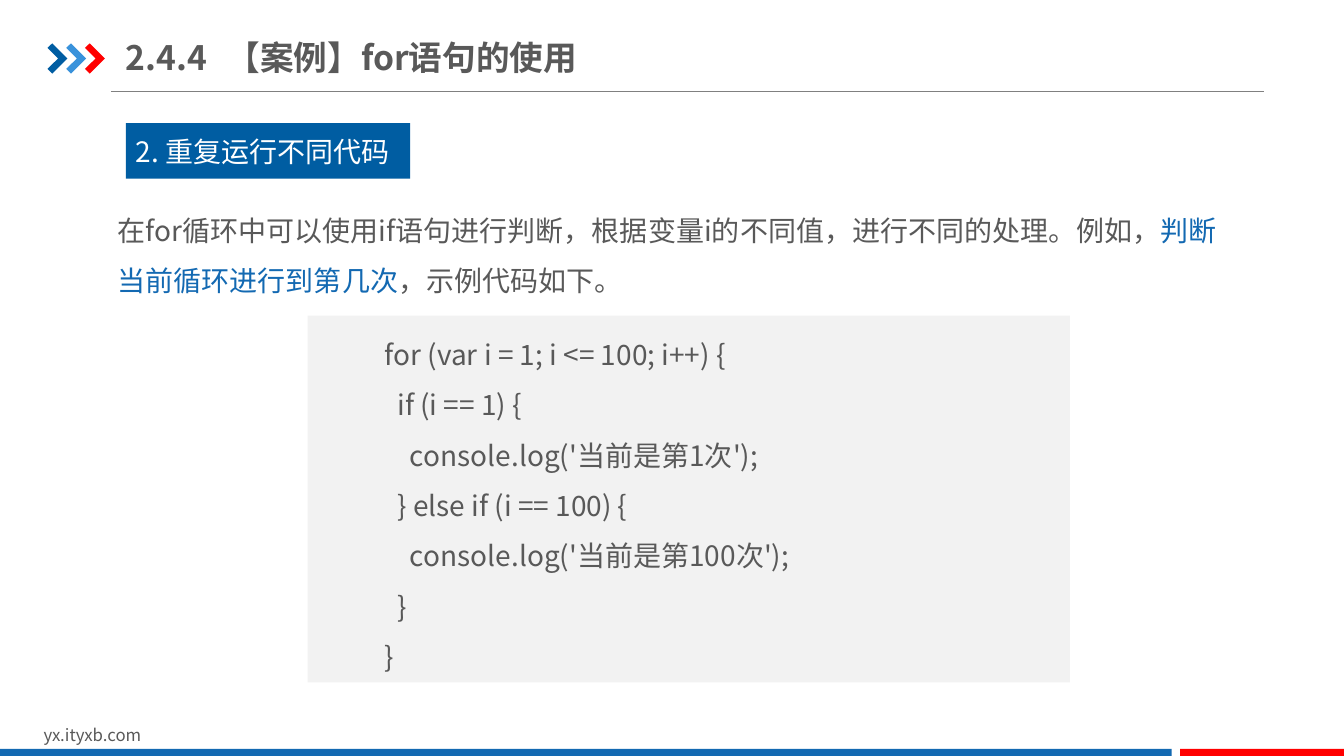
from dataclasses import dataclass

from lxml import etree
from pptx import Presentation
from pptx.dml.color import RGBColor
from pptx.enum.shapes import MSO_CONNECTOR, MSO_SHAPE
from pptx.enum.text import MSO_ANCHOR, MSO_AUTO_SIZE, PP_ALIGN
from pptx.oxml.ns import qn
from pptx.util import Pt

STRAIGHT = MSO_CONNECTOR.STRAIGHT
RECTANGLE = MSO_SHAPE.RECTANGLE
TOP, MIDDLE = MSO_ANCHOR.TOP, MSO_ANCHOR.MIDDLE
LEFT = PP_ALIGN.LEFT
NO_AUTOFIT = MSO_AUTO_SIZE.NONE


@dataclass(frozen=True)
class Theme:
    font: str = "Noto Sans CJK SC"
    grey: str = "595959"
    rule: str = "808080"
    panel: str = "F2F2F2"
    white: str = "FFFFFF"
    navy: str = "005DA2"
    sky: str = "3992DB"
    blue: str = "1369B2"
    red: str = "FF0000"
    title_size: float = 24
    body_size: float = 20
    footer_size: float = 12


THEME = Theme()


def write(shape, paragraphs, size=THEME.body_size, color=THEME.grey, bold=False,
          spacing=1.0, anchor=TOP, indent=0, margins=(7.2, 3.6)):
    """Fill a shape with paragraphs, each a list of (text, colour or None) runs."""
    frame = shape.text_frame
    frame.word_wrap = True
    frame.auto_size = NO_AUTOFIT
    frame.vertical_anchor = anchor
    frame.margin_left = frame.margin_right = Pt(margins[0])
    frame.margin_top = frame.margin_bottom = Pt(margins[1])
    for number, runs in enumerate(paragraphs):
        paragraph = frame.add_paragraph() if number else frame.paragraphs[0]
        paragraph.alignment = LEFT
        paragraph.line_spacing = spacing
        if indent:
            properties = paragraph._p.get_or_add_pPr()
            properties.set("marL", str(Pt(indent)))
            properties.set("indent", "0")
        for text, run_color in runs:
            run = paragraph.add_run()
            run.text = text
            run.font.size = Pt(size)
            run.font.bold = bold
            run.font.color.rgb = RGBColor.from_string(run_color or color)
            run.font.name = THEME.font
            east_asian = etree.SubElement(run._r.get_or_add_rPr(), qn("a:ea"))
            east_asian.set("typeface", THEME.font)


def paint(shape, color):
    shape.shadow.inherit = False
    shape.fill.solid()
    shape.fill.fore_color.rgb = RGBColor.from_string(color)
    shape.line.fill.background()


deck = Presentation()
deck.slide_width, deck.slide_height = Pt(960), Pt(540)
slide = deck.slides.add_slide(deck.slide_layouts[5])
shapes = slide.shapes

# Header
title = shapes.title
title.left, title.top, title.width, title.height = Pt(90), Pt(21), Pt(350), Pt(39.6)
write(title, [[("2.4.4\t【案例】for语句的使用", None)]], size=THEME.title_size,
      bold=True, anchor=MIDDLE, margins=(0, 5))

title_rule = shapes.add_connector(STRAIGHT, Pt(79.2), Pt(65.5), Pt(903), Pt(65.5))
title_rule.line.color.rgb = RGBColor.from_string(THEME.rule)
title_rule.line.width = Pt(0.75)
etree.SubElement(title_rule._element.spPr, qn("a:effectLst"))

CHEVRON = [(0, 3.2), (3.4, 0), (14.2, 10.8), (3.4, 21.6), (0, 18.2), (7.6, 10.8)]
for step, color in enumerate((THEME.navy, THEME.sky, THEME.red)):
    corners = [(Pt(33.9 + 13.4 * step + x), Pt(31 + y)) for x, y in CHEVRON]
    outline = shapes.build_freeform(*corners[0], scale=1.0)
    outline.add_line_segments(corners[1:], close=True)
    paint(outline.convert_to_shape(), color)

# Footer
site = shapes.add_textbox(Pt(24), Pt(514), Pt(229), Pt(21.6))
write(site, [[("yx.ityxb.com", None)]], size=THEME.footer_size)
for left, width, color in ((0, 837, THEME.blue), (843, 117, THEME.red)):
    paint(shapes.add_shape(RECTANGLE, Pt(left), Pt(535), Pt(width), Pt(6)), color)

# Content
explanation = shapes.add_textbox(Pt(77), Pt(137), Pt(803.5), Pt(80))
write(explanation, [[
    ("在for循环中可以使用if语句进行判断，根据变量i的不同值，进行不同的处理。例如，", None),
    ("判断当前循环进行到第几次", THEME.blue),
    ("，示例代码如下。", None),
]], spacing=1.5)

heading = shapes.add_shape(RECTANGLE, Pt(90), Pt(88), Pt(203), Pt(39.6))
paint(heading, THEME.navy)
write(heading, [[("2. 重复运行不同代码", None)]], color=THEME.white, anchor=MIDDLE)

CODE = """\
for (var i = 1; i <= 100; i++) {
  if (i == 1) {
    console.log('当前是第1次');
  } else if (i == 100) {
    console.log('当前是第100次');
  }
}"""
code_panel = shapes.add_shape(RECTANGLE, Pt(219.8), Pt(225.4), Pt(544.4), Pt(262))
paint(code_panel, THEME.panel)
write(code_panel, [[(line, None)] for line in CODE.splitlines()], spacing=1.5, indent=48)

deck.save("out.pptx")
